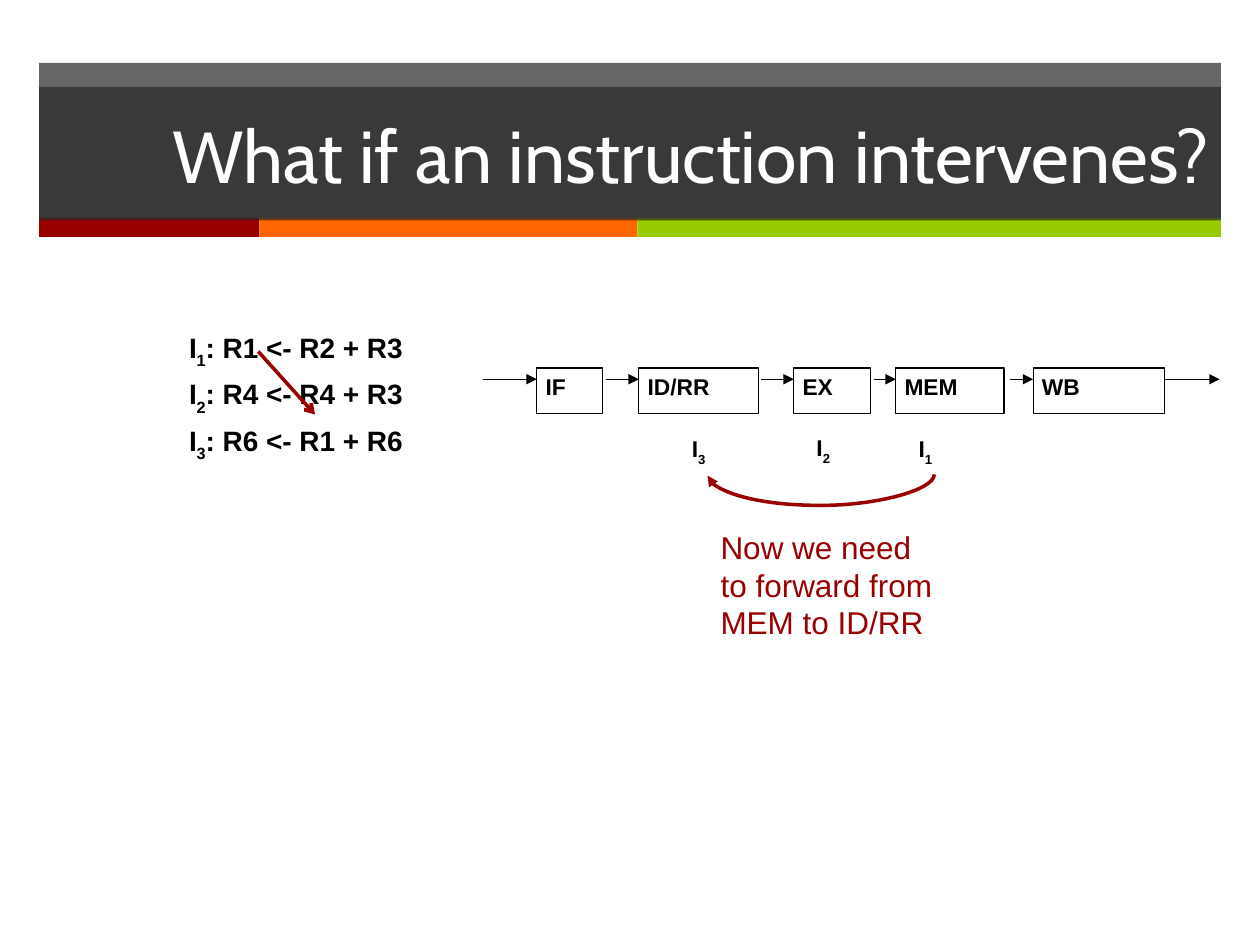
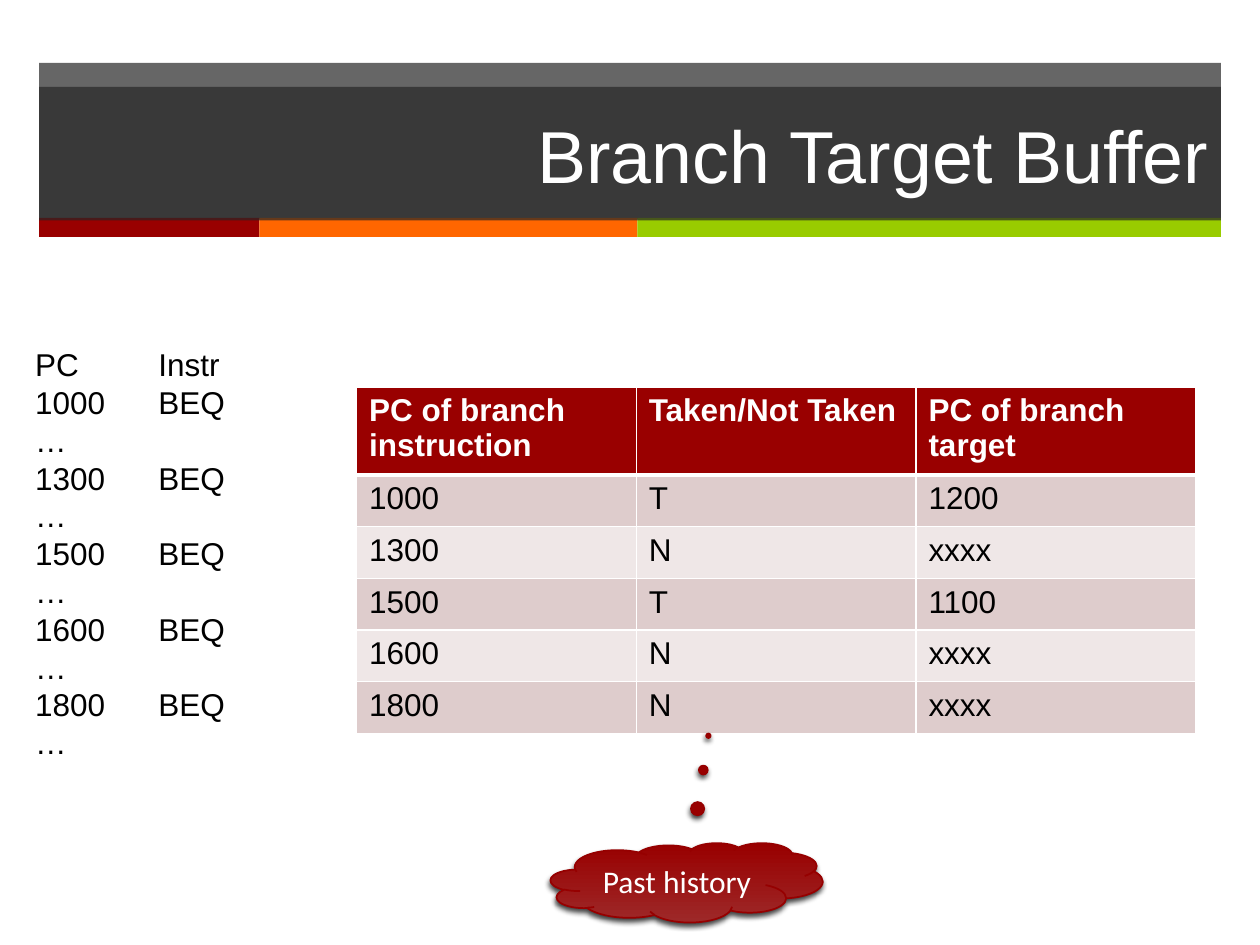
import dataclasses
import typing

import lxml.etree
import pptx
import pptx.dml.color
import pptx.enum.dml
import pptx.enum.shapes
import pptx.enum.text
import pptx.oxml.ns
import pptx.util

SCALE = 9144
HUES = {
    "dark": "262626", "red": "990000", "orange": "FF6600", "green": "99CC00",
    "white": "FFFFFF", "black": "000000", "rose": "DECCCC", "pale": "EFE7E7",
    "glow": "9D2828", "edge": "960000",
}
SHAPE = pptx.enum.shapes.MSO_SHAPE
LINK = pptx.enum.shapes.MSO_CONNECTOR
ALIGN = pptx.enum.text.PP_ALIGN
ANCHOR = pptx.enum.text.MSO_ANCHOR


@dataclasses.dataclass
class Box:
    left: int
    top: int
    width: int
    height: int
    label: str = ""
    hue: typing.Optional[str] = None

    def place(self) -> tuple:
        return px(self.left), px(self.top), px(self.width), px(self.height)


@dataclasses.dataclass
class Arrow:
    x1: int
    y1: int
    x2: int
    y2: int
    hue: str = "black"
    width: float = 0.75
    head: str = "triangle"
    kind: typing.Any = LINK.STRAIGHT


BANDS = [
    Box(31, 173, 175, 15, hue="red"),
    Box(206, 173, 300, 15, hue="orange"),
    Box(506, 173, 463, 15, hue="green"),
]
TOP = Box(31, 50, 938, 124, hue="dark")
TITLE = Box(31, 69, 938, 106, hue="dark")

STAGES = [
    Box(left, 292, width, 36, label)
    for left, width, label in [
        (426, 52, "IF"), (507, 95, "ID/RR"), (630, 61, "EX"),
        (711, 86, "MEM"), (820, 104, "WB"),
    ]
]
FLOW = [
    Arrow(start, 301, end, 301)
    for start, end in zip([383, 481, 604, 694, 802, 924],
                          [stage.left for stage in STAGES] + [968])
]
MARKS = [
    Box(722, 341, 38, 35, "I_1_"),
    Box(641, 340, 38, 35, "I_2_"),
    Box(542, 341, 38, 35, "I_3_"),
]
CODE = ["I_1_: R1 <- R2 + R3", "I_2_: R4 <- R4 + R3", "I_3_: R6 <- R1 + R6"]
ROWS = [
    ("PC of branch instruction", "Taken/Not Taken", "PC of branch target"),
    ("1000", "T", "1200"),
    ("1300", "N", "xxxx"),
    ("1500", "T", "1100"),
    ("1600", "N", "xxxx"),
    ("1800", "N", "xxxx"),
]


def px(size: int) -> int:
    return pptx.util.Emu(size * SCALE)


def rgb(hue: str) -> pptx.dml.color.RGBColor:
    return pptx.dml.color.RGBColor.from_string(HUES[hue])


def node(root, tag: str, **attrs):
    item = lxml.etree.SubElement(root, pptx.oxml.ns.qn("a:" + tag))
    for key, value in attrs.items():
        item.set(key, str(value))
    return item


def write(frame, lines: list, size=18, hue="black", font="Arial", bold=False,
          align=ALIGN.LEFT, before=0, indent=0, tab=0) -> None:
    for i, line in enumerate(lines):
        para = frame.paragraphs[0] if i == 0 else frame.add_paragraph()
        para.alignment = align
        para.space_before = pptx.util.Pt(before)
        props = para._p.get_or_add_pPr()
        if indent:
            props.set("marL", str(px(indent)))
        if tab:
            node(node(props, "tabLst"), "tab", pos=px(tab), algn="l")
        for j, part in enumerate(line.split("_")):
            if part:
                run = para.add_run()
                run.text = part
                run.font.size = pptx.util.Pt(size)
                run.font.name = font
                run.font.bold = bold
                run.font.color.rgb = rgb(hue)
                if j % 2:
                    run._r.get_or_add_rPr().set("baseline", "-30000")


def setup(frame, side=10, edge=5, anchor=ANCHOR.TOP) -> None:
    frame.word_wrap = True
    frame.vertical_anchor = anchor
    frame.margin_left = frame.margin_right = px(side)
    frame.margin_top = frame.margin_bottom = px(edge)


def note(slide, box: Box, lines: list, side=10, edge=5, **style) -> None:
    frame = slide.shapes.add_textbox(*box.place()).text_frame
    setup(frame, side, edge)
    write(frame, lines, **style)


def block(slide, box: Box, alpha=100, kind=SHAPE.RECTANGLE):
    shape = slide.shapes.add_shape(kind, *box.place())
    shape.shadow.inherit = False
    if box.hue:
        shape.fill.solid()
        shape.fill.fore_color.rgb = rgb(box.hue)
        if alpha < 100:
            tint = shape._element.spPr.find(".//" + pptx.oxml.ns.qn("a:srgbClr"))
            node(tint, "alpha", val=alpha * 1000)
    else:
        shape.fill.background()
    shape.line.fill.background()
    return shape


def border(shape, hue: str, width: float) -> None:
    shape.line.color.rgb = rgb(hue)
    shape.line.width = pptx.util.Pt(width)


def link(slide, arrow: Arrow):
    line = slide.shapes.add_connector(
        arrow.kind, px(arrow.x1), px(arrow.y1), px(arrow.x2), px(arrow.y2))
    border(line, arrow.hue, arrow.width)
    node(line.line._get_or_add_ln(), "tailEnd", type=arrow.head)
    node(line._element.spPr, "effectLst")
    return line


def start(deck, title: str, font: str):
    slide = deck.slides.add_slide(deck.slide_layouts[6])
    block(slide, TOP, alpha=70)
    for band in BANDS:
        block(slide, band)
    frame = block(slide, TITLE, alpha=70).text_frame
    setup(frame, anchor=ANCHOR.MIDDLE)
    write(frame, [title], size=42, hue="white", font=font, align=ALIGN.RIGHT)
    return slide


def bend(slide) -> None:
    curve = link(slide, Arrow(651, 287, 652, 467, "red", 2, kind=LINK.CURVE))
    props = curve._element.spPr
    props.xfrm.set("rot", "5400000")
    guides = props.find(".//" + pptx.oxml.ns.qn("a:avLst"))
    node(guides, "gd", name="adj1", fmla="val 2500000")


def grid(slide) -> None:
    table = slide.shapes.add_table(
        len(ROWS), len(ROWS[0]), px(283), px(307), px(666), px(273)).table
    for column in table.columns:
        column.width = px(222)
    for i, values in enumerate(ROWS):
        head = i == 0
        table.rows[i].height = px(68 if head else 41)
        for j, value in enumerate(values):
            cell = table.cell(i, j)
            write(cell.text_frame, [value], bold=head,
                  hue="white" if head else "black")
            props = cell._tc.get_or_add_tcPr()
            for side in ("lnL", "lnR", "lnT", "lnB"):
                thick = (i, side) in [(0, "lnB"), (1, "lnT")]
                rule = node(props, side, w=pptx.util.Pt(3 if thick else 1))
                node(node(rule, "solidFill"), "srgbClr", val=HUES["white"])
            cell.fill.solid()
            cell.fill.fore_color.rgb = rgb(
                "red" if head else "rose" if i % 2 else "pale")


def cloud(slide) -> None:
    shape = block(slide, Box(437, 669, 216, 63), kind=SHAPE.CLOUD_CALLOUT)
    shape.adjustments[0] = 0.08
    shape.adjustments[1] = -1.85
    shape.fill.gradient()
    shape.fill.gradient_angle = 90
    for stop, hue, spot in zip(shape.fill.gradient_stops, ("glow", "red"), (0, 1)):
        stop.color.rgb = rgb(hue)
        stop.position = spot
    border(shape, "edge", 1)
    effects = shape._element.spPr.find(pptx.oxml.ns.qn("a:effectLst"))
    shade = node(effects, "outerShdw", blurRad=pptx.util.Pt(3),
                 dist=pptx.util.Pt(2), dir=110 * 60000, rotWithShape=0)
    node(node(shade, "srgbClr", val=HUES["black"]), "alpha", val=75000)
    setup(shape.text_frame, anchor=ANCHOR.MIDDLE)
    write(shape.text_frame, ["Past history"], hue="white", font="Calibri",
          align=ALIGN.CENTER)


def forward(deck) -> None:
    slide = start(deck, "What if an instruction intervenes?", "Cabin")
    note(slide, Box(43, 258, 315, 99), CODE, 7, 4,
         size=16, bold=True, before=4, indent=100)
    for stage in STAGES:
        shape = block(slide, stage)
        border(shape, "black", 0.75)
        setup(shape.text_frame, 7, 4)
        write(shape.text_frame, [stage.label], size=13, bold=True)
    for arrow in FLOW:
        link(slide, arrow)
    for mark in MARKS:
        note(slide, mark, [mark.label], 7, 4, size=13, bold=True)
    link(slide, Arrow(205, 279, 250, 329, "red", 2, "arrow"))
    bend(slide)
    note(slide, Box(562, 414, 198, 101),
         ["Now we need to forward from MEM to ID/RR"], hue="red")


def branch(deck) -> None:
    slide = start(deck, "Branch Target Buffer", "Arial")
    lines = ["PC\tInstr"]
    for row in ROWS[1:]:
        lines += [row[0] + "\tBEQ", "…"]
    note(slide, Box(18, 269, 304, 343), lines, tab=98)
    grid(slide)
    cloud(slide)


def main() -> None:
    deck = pptx.Presentation()
    deck.slide_width, deck.slide_height = px(1000), px(750)
    forward(deck)
    branch(deck)
    deck.save("out.pptx")


if __name__ == "__main__":
    main()
